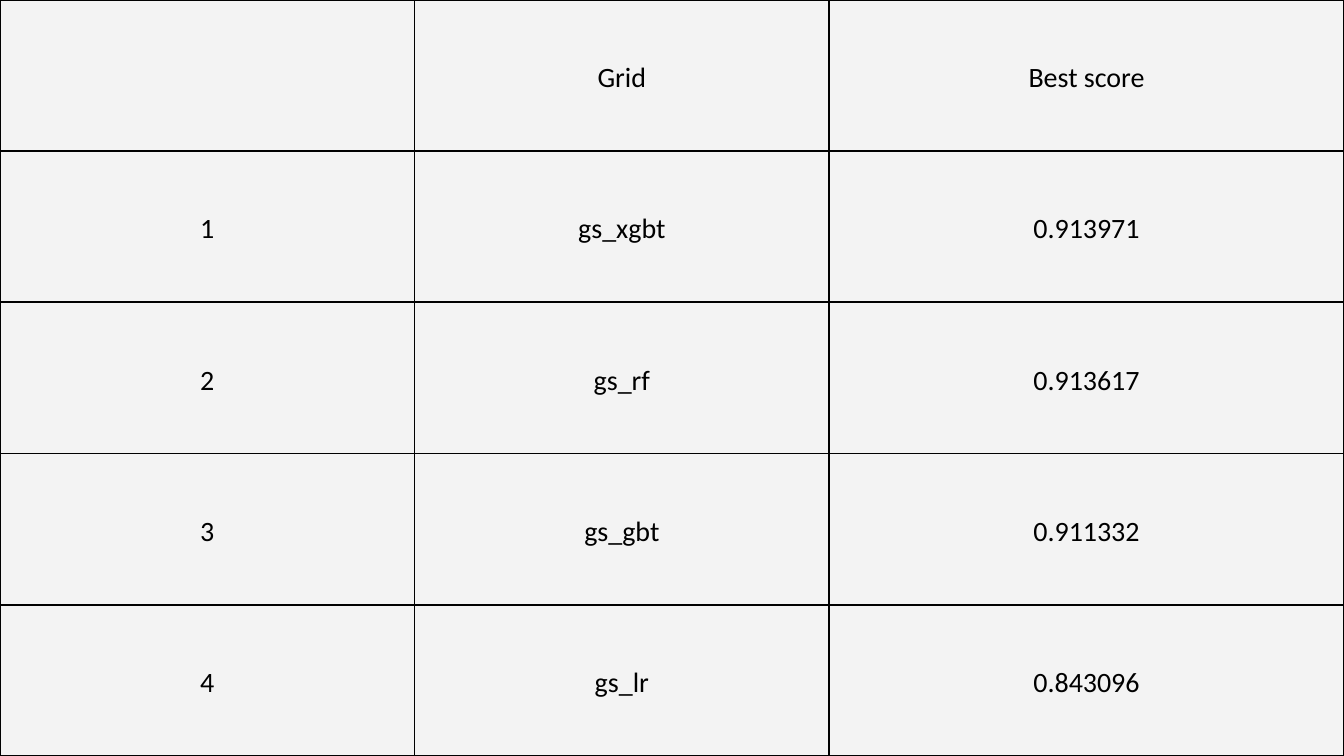
from dataclasses import dataclass

from lxml.etree import SubElement
from pptx import Presentation
from pptx.dml.color import RGBColor
from pptx.enum.text import MSO_ANCHOR as Anchor, PP_ALIGN as Align
from pptx.oxml.ns import qn
from pptx.util import Cm, Pt


@dataclass(frozen=True)
class Theme:
    """Colours, type and line sizes of the deck."""
    background: str = "F3F3F3"
    ink: str = "000000"
    font: str = "Calibri"
    text_size: float = 30
    line_spacing: float = 42
    border: float = 2.25
    inset: float = 0.53


@dataclass(frozen=True)
class Box:
    """A region of the slide in centimetres."""
    left: float
    top: float
    width: float
    height: float


THEME = Theme()
PAGE = Box(0, 0, 50.8, 28.58)
COLUMN_WIDTHS = (15.67, 15.67, 19.46)
SCORES = (
    ("", "Grid", "Best score"),
    ("1", "gs_xgbt", "0.913971"),
    ("2", "gs_rf", "0.913617"),
    ("3", "gs_gbt", "0.911332"),
    ("4", "gs_lr", "0.843096"),
)


def add_borders(cell):
    """Draw a solid line on all four sides of a cell."""
    properties = cell._tc.get_or_add_tcPr()
    for side in ("a:lnL", "a:lnR", "a:lnT", "a:lnB"):
        line = SubElement(properties, qn(side), w=str(Pt(THEME.border)))
        fill = SubElement(line, qn("a:solidFill"))
        SubElement(fill, qn("a:srgbClr"), val=THEME.ink)


def fill_cell(cell, text):
    """Write centred text into a bordered, transparent cell."""
    add_borders(cell)
    cell.fill.background()
    cell.vertical_anchor = Anchor.MIDDLE
    cell.margin_left = cell.margin_right = Cm(THEME.inset)
    cell.margin_top = cell.margin_bottom = Cm(THEME.inset)
    cell.text_frame.text = text
    para = cell.text_frame.paragraphs[0]
    para.alignment = Align.CENTER
    para.line_spacing = Pt(THEME.line_spacing)
    for span in para.runs:
        span.font.name = THEME.font
        span.font.size = Pt(THEME.text_size)
        span.font.color.rgb = RGBColor.from_string(THEME.ink)


def add_score_table(page, box):
    """Fill the box with the table of grid search scores."""
    frame = page.shapes.add_table(
        len(SCORES), len(COLUMN_WIDTHS),
        Cm(box.left), Cm(box.top), Cm(box.width), Cm(box.height))
    table = frame.table
    table.first_row = table.horz_banding = False
    for column, width in zip(table.columns, COLUMN_WIDTHS):
        column.width = Cm(width)
    for row, texts in zip(table.rows, SCORES):
        row.height = Cm(box.height / len(SCORES))
        for cell, text in zip(row.cells, texts):
            fill_cell(cell, text)


def main():
    """Build and save the one-page deck."""
    deck = Presentation()
    deck.slide_width, deck.slide_height = Cm(PAGE.width), Cm(PAGE.height)
    page = deck.slides.add_slide(deck.slide_layouts.get_by_name("Blank"))
    fill = page.background.fill
    fill.solid()
    fill.fore_color.rgb = RGBColor.from_string(THEME.background)
    add_score_table(page, PAGE)
    deck.save("out.pptx")


if __name__ == "__main__":
    main()
